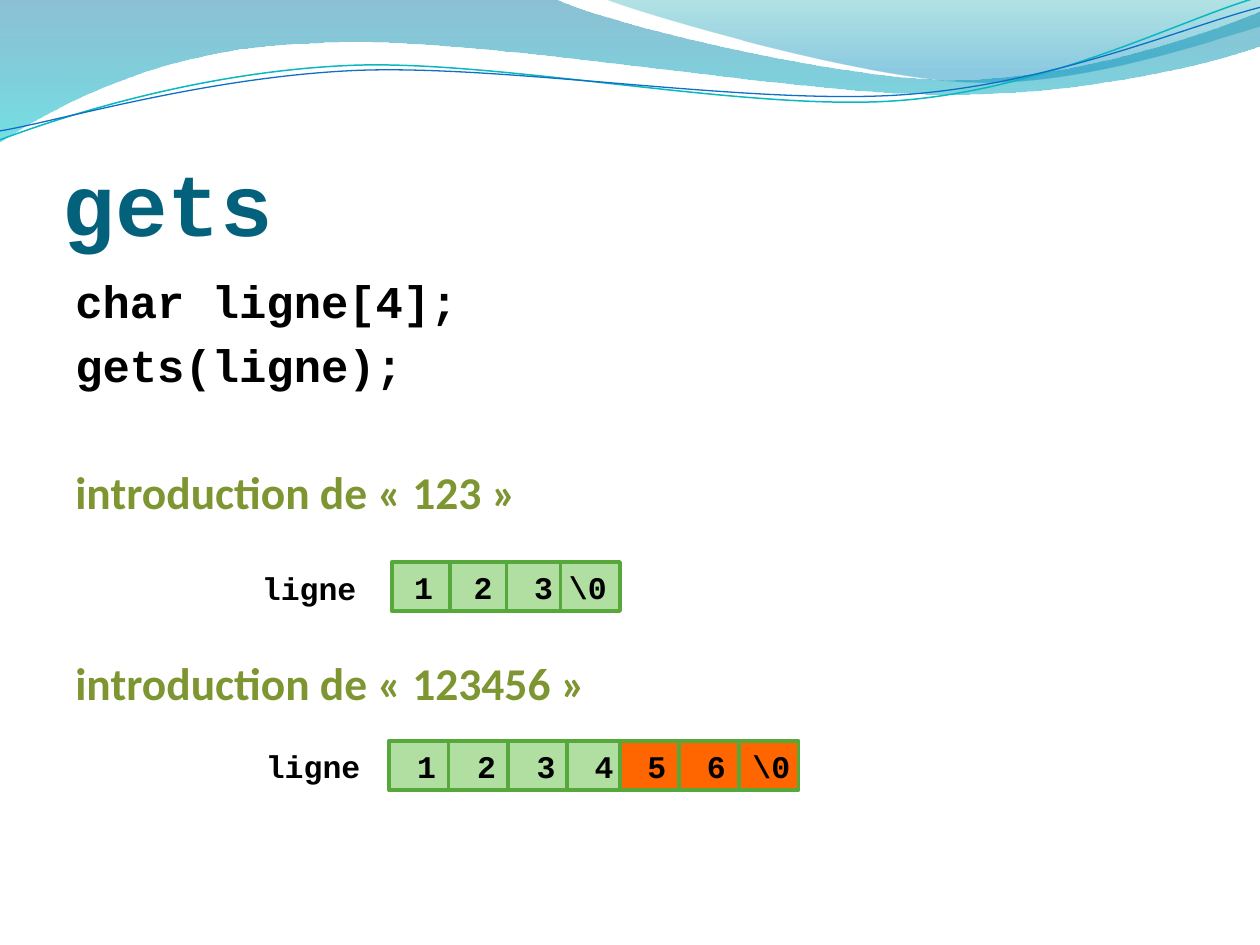
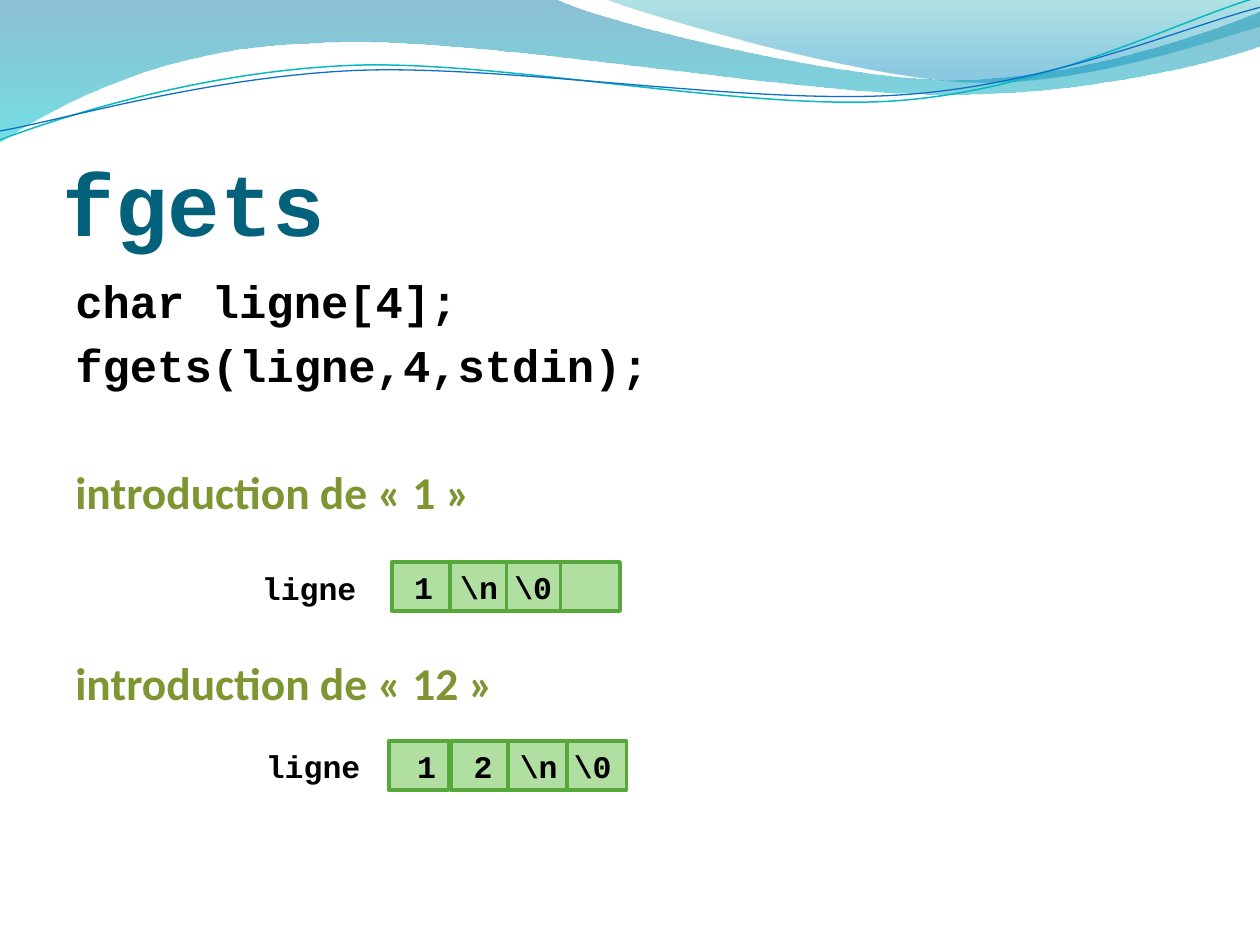
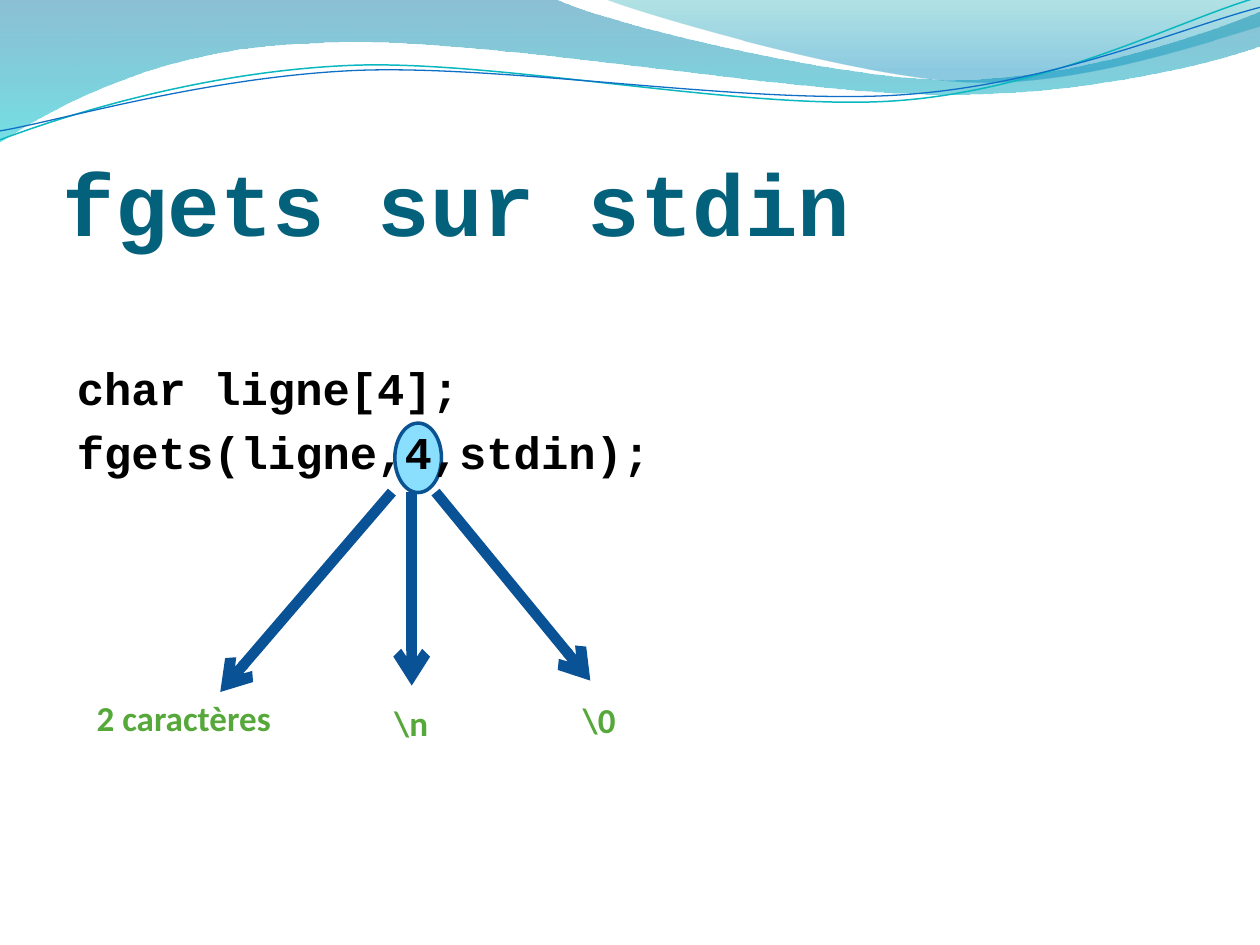
from lxml.etree import SubElement
from pptx import Presentation
from pptx.dml.color import RGBColor
from pptx.enum.shapes import MSO_CONNECTOR as CONN, MSO_SHAPE as SHAPE
from pptx.enum.text import MSO_ANCHOR as ANCHOR, PP_ALIGN as ALIGN
from pptx.oxml.ns import qn
from pptx.util import Cm, Pt

COLORS = {
    "title": "04617B", "code": "000000", "intro": "7E9632",
    "cell": "B0DFA1", "overflow": "FF6600", "green": "55A839",
    "halo": "8ADFFF", "halo_line": "0B5292", "arrow": "095295",
    "band_top": "0074A1", "band_bottom": "00C6CF",
    "corner_top": "00A1A9", "corner_bottom": "008BBF",
    "teal_wave": "0AB8BF", "blue_wave": "0F6FC6",
}
MONO, SANS = "Courier New", "Calibri"
CELL_W, CELL_H = 1.2, 0.99
MARK_WIDTHS = {1: 0.61, 2: 1.7}
ROW_TOPS = (11.33, 14.94)
LABEL_SPOTS = ((5.03, 11.35), (5.11, 14.94))
BODY_GAPS = (6.25, 5.2, 41.75, 78)

BAND = [
    [(0, 0)], [(11.18, -0.03)],
    [(12.09, 0.43), (16.87, 1.6), (19.25, 1.6)],
    [(21.67, 1.6), (24.33, 0.66), (25.4, 0.23)],
    [(25.43, 0.91)],
    [(24.97, 1.12), (22.1, 1.93), (18.95, 1.9)],
    [(15.8, 1.9), (9.7, 0.71), (6.53, 0.86)],
    [(3.28, 0.91), (1.17, 2.11), (-0.03, 2.87)],
    [(0, 0)],
]
CORNER = [
    [(12.17, -0.03)],
    [(12.93, 0.28), (17.32, 1.57), (19.53, 1.65)],
    [(21.74, 1.75), (24.41, 0.81), (25.4, 0.53)],
    [(25.4, 0)], [(12.17, -0.03)],
]
TEAL_WAVE = [
    [(0, 2.82)],
    [(1.22, 2.36), (4.01, 1.45), (7.04, 1.32)],
    [(10.03, 1.19), (15.06, 2.26), (18.11, 2.03)],
    [(21.16, 1.8), (23.83, 0.38), (25.35, -0.05)],
]
BLUE_WAVE = [
    [(0, 2.64)],
    [(1.19, 2.44), (4.17, 1.55), (7.19, 1.42)],
    [(10.24, 1.3), (15.16, 2.13), (18.21, 1.91)],
    [(21.23, 1.7), (23.9, 0.53), (25.4, 0.15)],
]


def rgb(name):
    return RGBColor.from_string(COLORS[name])


def bend(sp, segments):
    lines = iter(list(sp.element.iter(qn("a:lnTo"))))
    for segment in segments[1:]:
        parts = [next(lines) for _ in segment]
        if len(parts) == 3:
            curve = parts[0].makeelement(qn("a:cubicBezTo"))
            parts[0].addprevious(curve)
            for part in parts:
                curve.append(part[0])
                part.getparent().remove(part)


def add_outline(s, segments, close):
    emu = [(Cm(x), Cm(y)) for segment in segments for x, y in segment]
    builder = s.shapes.build_freeform(*emu[0])
    builder.add_line_segments(emu[1:], close=close)
    sp = builder.convert_to_shape()
    bend(sp, segments)
    sp.shadow.inherit = False
    return sp


def add_area(s, segments, stops):
    sp = add_outline(s, segments, True)
    sp.line.fill.background()
    sp.fill.gradient()
    sp.fill.gradient_angle = 270
    for stop, (position, color, _) in zip(sp.fill.gradient_stops, stops):
        stop.position = position
        stop.color.rgb = rgb(color)
    for clr, (_, _, opacity) in zip(sp.element.spPr.iter(qn("a:srgbClr")), stops):
        SubElement(clr, qn("a:alpha"), val=str(opacity * 1000))


def add_wave(s, segments, color, width):
    sp = add_outline(s, segments, False)
    sp.fill.background()
    sp.line.color.rgb = rgb(color)
    sp.line.width = Pt(width)


def style(p, size, font, color, align=ALIGN.LEFT):
    p.alignment = align
    p.font.size = Pt(size)
    p.font.name = font
    p.font.bold = True
    p.font.color.rgb = rgb(color)


def add_frame(s, x, y, w, h):
    tf = s.shapes.add_textbox(Cm(x), Cm(y), Cm(w), Cm(h)).text_frame
    tf.word_wrap = True
    return tf


def add_text(s, x, y, w, h, text, size, font, color, align=ALIGN.LEFT):
    p = add_frame(s, x, y, w, h).paragraphs[0]
    p.text = text
    style(p, size, font, color, align)


def add_title(s, text):
    tf = add_frame(s, 1.27, 1.95, 22.86, 3.17)
    tf.vertical_anchor = ANCHOR.BOTTOM
    tf.margin_left = tf.margin_right = tf.margin_bottom = 0
    p = tf.paragraphs[0]
    p.text = text
    style(p, 50, MONO, "title")


def add_body(s, x, y, code, intros=()):
    tf = add_frame(s, x, y, 22.86, 12.19)
    lines = [(text, MONO, "code") for text in code]
    lines += [(text, SANS, "intro") for text in intros]
    for i, ((text, font, color), gap) in enumerate(zip(lines, BODY_GAPS)):
        p = tf.add_paragraph() if i else tf.paragraphs[0]
        p.text = text
        p.space_before = Pt(gap)
        style(p, 26, font, color)


def add_box(s, kind, x, y, w, h, fill, line):
    sp = s.shapes.add_shape(kind, Cm(x), Cm(y), Cm(w), Cm(h))
    sp.shadow.inherit = False
    sp.fill.solid()
    sp.fill.fore_color.rgb = rgb(fill)
    sp.line.color.rgb = rgb(line)
    sp.line.width = Pt(2)


def add_memory_row(s, row, cells, marks, size=4):
    y = ROW_TOPS[row]
    add_text(s, *LABEL_SPOTS[row], 2.79, 1.02, "ligne", 18, MONO, "code")
    for i, x in enumerate(cells):
        fill = "cell" if i < size else "overflow"
        add_box(s, SHAPE.RECTANGLE, x, y, CELL_W, CELL_H, fill, "green")
    for text, x in marks:
        add_text(s, x, y, MARK_WIDTHS[len(text)], 1.02, text, 18, MONO, "code", ALIGN.CENTER)


def add_arrow(s, x1, y1, x2, y2):
    c = s.shapes.add_connector(CONN.STRAIGHT, Cm(x1), Cm(y1), Cm(x2), Cm(y2))
    c.line.color.rgb = rgb("arrow")
    c.line.width = Pt(6)
    SubElement(c.line._get_or_add_ln(), qn("a:tailEnd"), type="arrow")
    SubElement(c._element.spPr, qn("a:effectLst"))


def new_slide(prs):
    s = prs.slides.add_slide(prs.slide_layouts[6])
    add_area(s, BAND, [(0, "band_top", 45), (1, "band_bottom", 55)])
    add_area(s, CORNER, [(0, "corner_top", 30), (0.8, "corner_bottom", 45)])
    add_wave(s, TEAL_WAVE, "teal_wave", 0.85)
    add_wave(s, BLUE_WAVE, "blue_wave", 0.75)
    return s


def gets_slide(prs):
    s = new_slide(prs)
    add_title(s, "gets")
    add_body(s, 1.27, 5.38, ["char ligne[4];", "gets(ligne);"],
             ["introduction de « 123 »", "introduction de « 123456 »"])
    add_memory_row(s, 0, [7.9, 9.07, 10.21, 11.3],
                   [("1", 8.1), ("2", 9.3), ("3", 10.52), ("\\0", 11)])
    add_memory_row(s, 1, [7.84, 9.04, 10.24, 11.43, 12.5, 13.69, 14.9],
                   [("1", 8.16), ("2", 9.37), ("3", 10.57), ("4", 11.74),
                    ("5", 12.8), ("6", 14), ("\\0", 14.7)])


def fgets_slide(prs):
    s = new_slide(prs)
    add_title(s, "fgets")
    add_body(s, 1.27, 5.38, ["char ligne[4];", "fgets(ligne,4,stdin);"],
             ["introduction de « 1 »", "introduction de « 12 »"])
    add_memory_row(s, 0, [7.9, 9.07, 10.21, 11.3],
                   [("1", 8.1), ("\\n", 8.81), ("\\0", 9.9)])
    add_memory_row(s, 1, [7.84, 9.09, 10.24, 11.43],
                   [("1", 8.16), ("2", 9.3), ("\\n", 10.01), ("\\0", 11.1)])


def stdin_slide(prs):
    s = new_slide(prs)
    add_box(s, SHAPE.OVAL, 7.96, 8.53, 0.94, 1.4, "halo", "halo_line")
    add_title(s, "fgets sur stdin")
    add_body(s, 1.3, 7.14, ["char ligne[4];", "fgets(ligne,4,stdin);"])
    for x1, x2, y2 in [(7.9, 4.44, 13.95), (8.3, 8.3, 13.82), (8.78, 11.9, 13.72)]:
        add_arrow(s, x1, 9.92, x2, y2)
    for text, x, y, w in [("2 caractères", 1.7, 13.92, 4.34),
                          ("\\0", 11.5, 13.95, 1.4), ("\\n", 7.7, 14.02, 1.4)]:
        add_text(s, x, y, w, 1.12, text, 20, SANS, "green")


def main():
    prs = Presentation()
    prs.slide_width, prs.slide_height = Cm(25.4), Cm(19.05)
    gets_slide(prs)
    fgets_slide(prs)
    stdin_slide(prs)
    prs.save("out.pptx")


if __name__ == "__main__":
    main()
